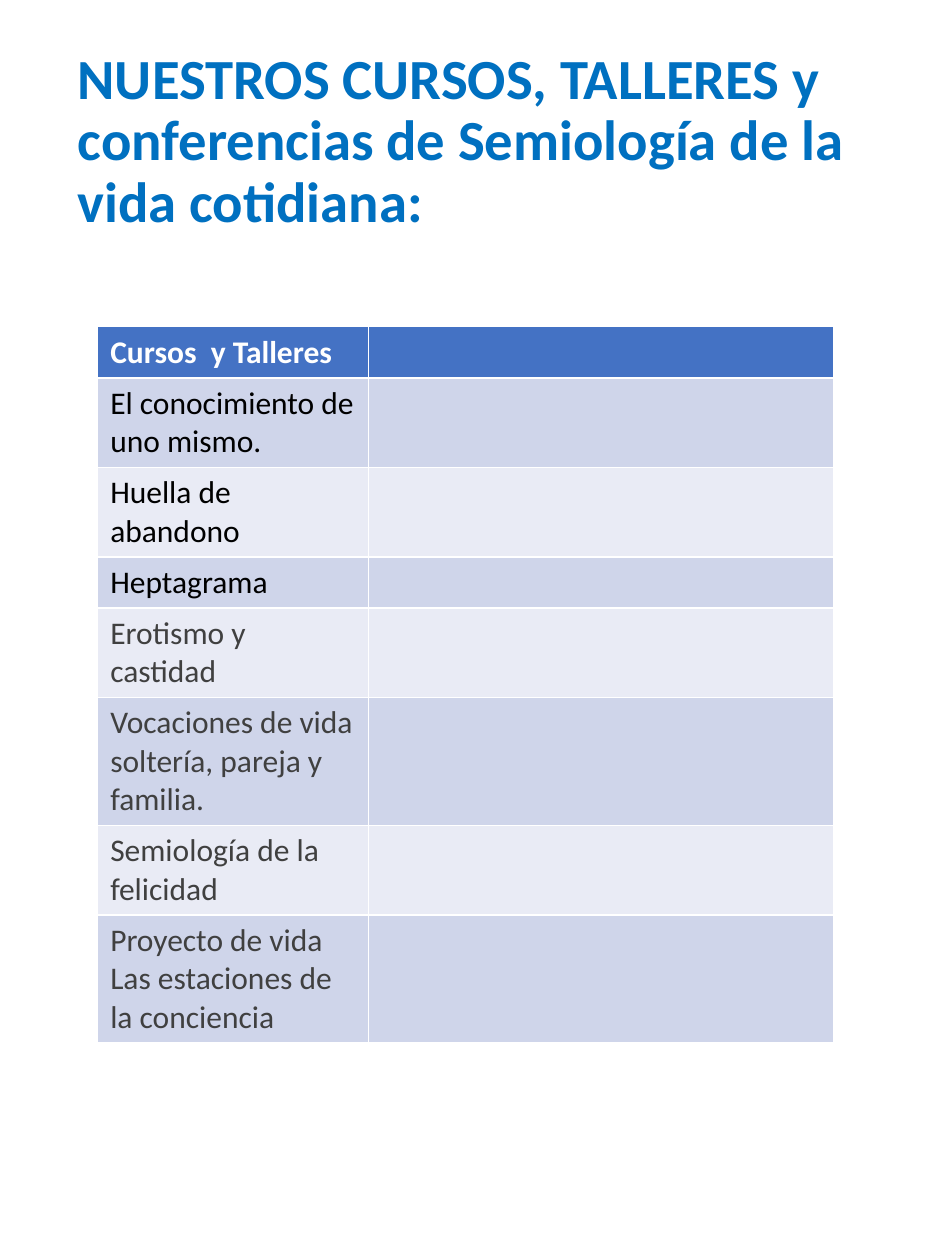
from pptx import Presentation
from pptx.dml.color import RGBColor
from pptx.enum import text
from pptx.util import Pt

TITLE_BLUE = RGBColor(0x00, 0x70, 0xC0)
HEADER_BLUE = RGBColor(0x44, 0x72, 0xC4)
BAND_DARK = RGBColor(0xCF, 0xD5, 0xEA)
BAND_LIGHT = RGBColor(0xE9, 0xEB, 0xF5)
WHITE = RGBColor(0xFF, 0xFF, 0xFF)
BLACK = RGBColor(0x00, 0x00, 0x00)
GRAY = RGBColor(0x40, 0x40, 0x40)


def write_text(frame, content, *, size=18, color=BLACK, bold=False, spacing=1.0):
    frame.text = content
    for paragraph in frame.paragraphs:
        paragraph.alignment = text.PP_ALIGN.LEFT
        paragraph.line_spacing = spacing
        for run in paragraph.runs:
            run.font.name = "Calibri"
            run.font.size = Pt(size)
            run.font.bold = bold
            run.font.color.rgb = color


presentation = Presentation()
presentation.slide_width, presentation.slide_height = Pt(540), Pt(720)
slide = presentation.slides.add_slide(presentation.slide_layouts[5])

title = slide.shapes.title
title.left, title.top, title.width, title.height = Pt(37.2), Pt(38.3), Pt(465.8), Pt(139)
title.text_frame.word_wrap = True
title.text_frame.auto_size = text.MSO_AUTO_SIZE.NONE
title.text_frame.vertical_anchor = text.MSO_ANCHOR.MIDDLE
write_text(
    title.text_frame,
    "NUESTROS CURSOS, TALLERES y conferencias de Semiología de la vida cotidiana:\v",
    size=32.4, color=TITLE_BLUE, bold=True, spacing=0.9,
)

courses = [
    ("Cursos  y Talleres", WHITE),
    ("El conocimiento de uno mismo.", BLACK),
    ("Huella de abandono", BLACK),
    ("Heptagrama", BLACK),
    ("Erotismo y castidad", GRAY),
    ("Vocaciones de vida\nsoltería, pareja y familia.", GRAY),
    ("Semiología de la felicidad", GRAY),
    ("Proyecto de vida\nLas estaciones de la conciencia", GRAY),
]
column_widths = [154.8, 265.7]
row_height = 29.2

table = slide.shapes.add_table(
    len(courses), len(column_widths), Pt(55.8), Pt(186.7),
    Pt(sum(column_widths)), Pt(row_height * len(courses)),
).table
for column, width in zip(table.columns, column_widths):
    column.width = Pt(width)

for index, (row, (course, color)) in enumerate(zip(table.rows, courses)):
    row.height = Pt(row_height)
    is_header = index == 0
    band = HEADER_BLUE if is_header else BAND_DARK if index % 2 else BAND_LIGHT
    for cell in row.cells:
        cell.fill.solid()
        cell.fill.fore_color.rgb = band
    write_text(row.cells[0].text_frame, course, color=color, bold=is_header)

presentation.save("out.pptx")
